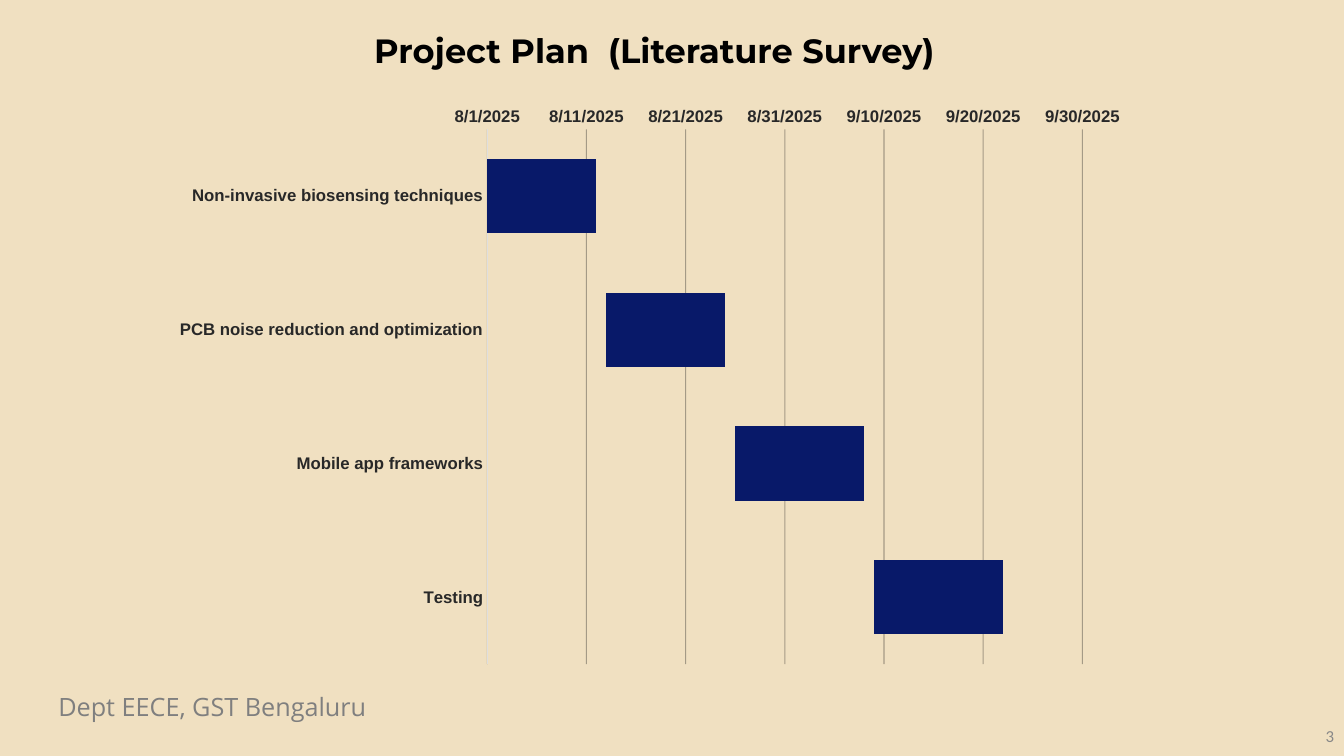
from lxml import etree
from pptx import Presentation
from pptx.chart.data import CategoryChartData
from pptx.dml.color import RGBColor
from pptx.enum.chart import XL_CHART_TYPE, XL_TICK_MARK
from pptx.enum.text import MSO_ANCHOR, PP_ALIGN
from pptx.oxml import parse_xml
from pptx.oxml.ns import nsdecls, qn
from pptx.util import Inches, Pt

LEFT, CENTER, RIGHT = PP_ALIGN.LEFT, PP_ALIGN.CENTER, PP_ALIGN.RIGHT
TOP, MIDDLE = MSO_ANCHOR.TOP, MSO_ANCHOR.MIDDLE
BAR_STACKED = XL_CHART_TYPE.BAR_STACKED
NO_TICK = XL_TICK_MARK.NONE

COLORS = {
    "background": "F0E0C1",
    "title": "000000",
    "footer": "7F7F7F",
    "number": "888888",
    "label": "282828",
    "axis": "DFDFDF",
    "grid": "191919",
    "bar": "081969",
}

# Dates are spreadsheet day numbers; 45870 is 8/1/2025.
FIRST_DAY, LAST_DAY, DAYS_PER_GRIDLINE = 45870, 45930, 10
TASKS = [
    ("Non-invasive biosensing techniques", 45870, 11),
    ("PCB noise reduction and optimization", 45882, 12),
    ("Mobile app frameworks", 45895, 13),
    ("Testing", 45909, 13),
]
# Plot area as fractions of the chart frame
PLOT_AREA = {"x": 0.334, "y": 0.058, "w": 0.608, "h": 0.923}


def color(name):
    return RGBColor.from_string(COLORS[name])


def add_text(page, box, text, *, font, size, fill, bold=False, align=LEFT, anchor=TOP):
    frame = page.shapes.add_textbox(*map(Inches, box)).text_frame
    frame.word_wrap = True
    frame.vertical_anchor = anchor
    para = frame.paragraphs[0]
    para.alignment = align
    span = para.add_run()
    span.text = text
    span.font.name = font
    span.font.size = Pt(size)
    span.font.bold = bold
    span.font.color.rgb = color(fill)


def style_font(font, size, bold):
    font.name = "Arial"
    font.size = Pt(size)
    font.bold = bold
    font.color.rgb = color("label")


def style_line(line, name):
    line.color.rgb = color(name)
    line.width = Pt(0.75)


def fix_plot_area(chart):
    """Pin the inner plot area to PLOT_AREA."""
    parts = '<c:layoutTarget val="inner"/><c:xMode val="edge"/><c:yMode val="edge"/>'
    parts += "".join(f'<c:{key} val="{value}"/>' for key, value in PLOT_AREA.items())
    layout = parse_xml(
        f'<c:layout {nsdecls("c")}><c:manualLayout>{parts}</c:manualLayout></c:layout>'
    )
    plot_area = chart._chartSpace.chart.plotArea
    for old in plot_area.findall(qn("c:layout")):
        plot_area.remove(old)
    plot_area.insert(0, layout)


def add_gantt(page, box):
    """Stacked bars: an unfilled start offset, then the duration."""
    names, starts, durations = zip(*TASKS)
    data = CategoryChartData()
    data.categories = names
    data.add_series("Series 1", starts)
    data.add_series("Series 2", durations)
    chart = page.shapes.add_chart(BAR_STACKED, *map(Inches, box), data).chart
    chart.has_legend = False
    chart.has_title = False
    style_font(chart.font, 10, False)

    plot = chart.plots[0]
    plot.vary_by_categories = False
    plot.gap_width = 80
    plot.overlap = 100
    offset, duration = plot.series
    offset.format.fill.background()
    duration.format.fill.solid()
    duration.format.fill.fore_color.rgb = color("bar")

    tasks, dates = chart.category_axis, chart.value_axis
    for axis in (tasks, dates):
        axis.major_tick_mark = axis.minor_tick_mark = NO_TICK
        style_font(axis.tick_labels.font, 12, True)
    tasks.reverse_order = True
    style_line(tasks.format.line, "axis")

    dates.minimum_scale, dates.maximum_scale = FIRST_DAY, LAST_DAY
    dates.major_unit = DAYS_PER_GRIDLINE
    dates.tick_labels.number_format = "m/d/yyyy"
    dates.tick_labels.number_format_is_linked = False
    dates.format.line.fill.background()
    grid = dates.major_gridlines.format.line
    style_line(grid, "grid")
    shade = dates.major_gridlines._xAx.find(".//" + qn("c:majorGridlines")).find(
        ".//" + qn("a:srgbClr")
    )
    etree.SubElement(shade, qn("a:alpha")).set("val", "34000")
    fix_plot_area(chart)


def add_footer(page, box):
    left, top, width, height = box
    add_text(page, (left + 0.48, top, 5.24, 0.4), "Dept EECE, GST Bengaluru",
             font="Open Sans", size=18, fill="footer")
    add_text(page, (left + width - 3, top + height - 0.4, 3, 0.4), "3",
             font="Calibri", size=12, fill="number", align=RIGHT, anchor=MIDDLE)


def add_plan_page(deck):
    page = deck.slides.add_slide(deck.slide_layouts[6])
    page.background.fill.solid()
    page.background.fill.fore_color.rgb = color("background")
    add_footer(page, (0, 6.81, 13.33, 0.69))
    add_text(page, (0.74, 0.25, 11.5, 0.54), "Project Plan  (Literature Survey)",
             font="Montserrat", size=24, fill="title", bold=True, align=CENTER)
    add_gantt(page, (1.59, 0.95, 9.71, 5.75))


def main():
    deck = Presentation()
    deck.slide_width, deck.slide_height = Inches(13.33), Inches(7.5)
    add_plan_page(deck)
    deck.save("out.pptx")


if __name__ == "__main__":
    main()
